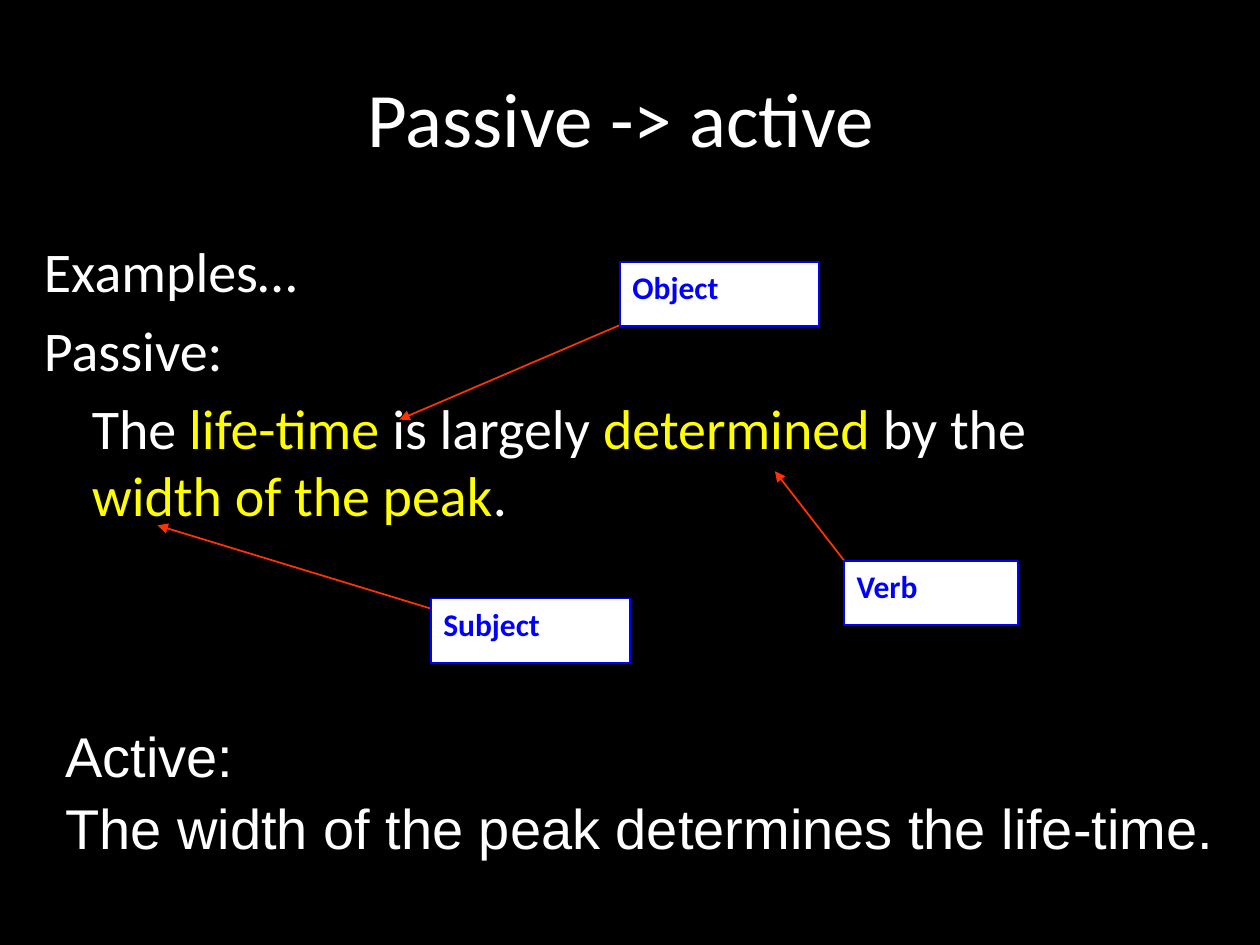
from lxml import etree
from pptx import Presentation
from pptx.dml.color import RGBColor
from pptx.enum import shapes, text
from pptx.oxml import ns
from pptx.util import Inches, Pt

COLORS = {"black": "000000", "white": "FFFFFF", "yellow": "FFFF00",
          "blue": "0000FF", "red": "FF3300"}


def rgb(name):
    return RGBColor.from_string(COLORS[name])


def add_run(paragraph, words, size, color="white", font="Calibri", bold=False):
    run = paragraph.add_run()
    run.text = words
    run.font.size, run.font.name, run.font.bold = Pt(size), font, bold
    run.font.color.rgb = rgb(color)


def space_before(paragraph, percent):
    """Spacing relative to the text size."""
    paragraph.space_before = Pt(0)
    spacing = paragraph._p.pPr.find(ns.qn("a:spcBef"))
    spacing.clear()
    etree.SubElement(spacing, ns.qn("a:spcPct"), val=str(percent * 1000))


def add_text(slide, box, paragraphs, font, line_spacing=None):
    """Each paragraph is a left margin and a list of (words, color)."""
    frame = slide.shapes.add_textbox(*map(Inches, box)).text_frame
    frame.word_wrap = True
    for i, (margin, runs) in enumerate(paragraphs):
        paragraph = frame.add_paragraph() if i else frame.paragraphs[0]
        space_before(paragraph, 20)
        paragraph.line_spacing = line_spacing
        if margin:
            paragraph._p.get_or_add_pPr().set("marL", str(Inches(margin)))
        for words, color in runs:
            add_run(paragraph, words, 32, color, font)


def add_arrow(group, start, end):
    arrow = group.shapes.add_connector(
        shapes.MSO_CONNECTOR.STRAIGHT, *map(Inches, start + end))
    arrow.line.color.rgb = rgb("red")
    arrow.line.width = Pt(1)
    etree.SubElement(arrow.line._get_or_add_ln(), ns.qn("a:tailEnd"), type="triangle")
    etree.SubElement(arrow._element.spPr, ns.qn("a:effectLst"))


def add_callout(slide, word, left, top, width, arrow_start, arrow_end):
    group = slide.shapes.add_group_shape()
    add_arrow(group, arrow_start, arrow_end)
    label = group.shapes.add_shape(
        shapes.MSO_SHAPE.RECTANGLE, *map(Inches, (left, top, width, 0.51)))
    label.shadow.inherit = False
    label.fill.solid()
    label.fill.fore_color.rgb = rgb("white")
    label.line.color.rgb = rgb("blue")
    label.line.width = Pt(1)
    frame = label.text_frame
    frame.word_wrap = True
    frame.auto_size = text.MSO_AUTO_SIZE.SHAPE_TO_FIT_TEXT
    frame.vertical_anchor = text.MSO_ANCHOR.TOP
    paragraph = frame.paragraphs[0]
    paragraph.alignment = text.PP_ALIGN.LEFT
    space_before(paragraph, 50)
    add_run(paragraph, word, 18, "blue", bold=True)


def set_title(slide, words):
    title = slide.shapes.title
    title.left, title.top, title.width, title.height = map(Inches, (0.5, 0.3, 9, 1.25))
    title.text_frame.vertical_anchor = text.MSO_ANCHOR.MIDDLE
    paragraph = title.text_frame.paragraphs[0]
    paragraph.alignment = text.PP_ALIGN.CENTER
    add_run(paragraph, words, 44)


def main():
    deck = Presentation()
    deck.slide_width, deck.slide_height = Inches(10), Inches(7.5)
    slide = deck.slides.add_slide(deck.slide_layouts[5])
    slide.background.fill.solid()
    slide.background.fill.fore_color.rgb = rgb("black")
    set_title(slide, "Passive -> active ")

    # Passive example, with its key parts highlighted
    add_text(slide, (0.25, 1.83, 8.98, 4.5), [
        (0, [("Examples…", "white")]),
        (0, [("Passive:", "white")]),
        (0.38, [("The ", "white"), ("life-time ", "yellow"),
                ("is largely ", "white"), ("determined", "yellow"),
                (" by the ", "white"), ("width of the peak", "yellow"),
                (".", "white")]),
    ], "Calibri")

    # Grammar labels pointing at the sentence
    for callout in (
        ("Object", 4.92, 2.08, 1.58, (4.92, 2.58), (3.17, 3.33)),
        ("Verb", 6.7, 4.45, 1.38, (6.7, 4.45), (6.15, 3.74)),
        ("Subject", 3.42, 4.75, 1.58, (3.42, 4.83), (1.25, 4.17)),
    ):
        add_callout(slide, *callout)

    # Active rewrite
    add_text(slide, (0.42, 5.74, 11.33, 1.52), [
        (0, [("Active: ", "white")]),
        (0, [("The width of the peak determines the life-time. ", "white")]),
    ], "Arial", line_spacing=0.9)

    deck.save("out.pptx")


main()
